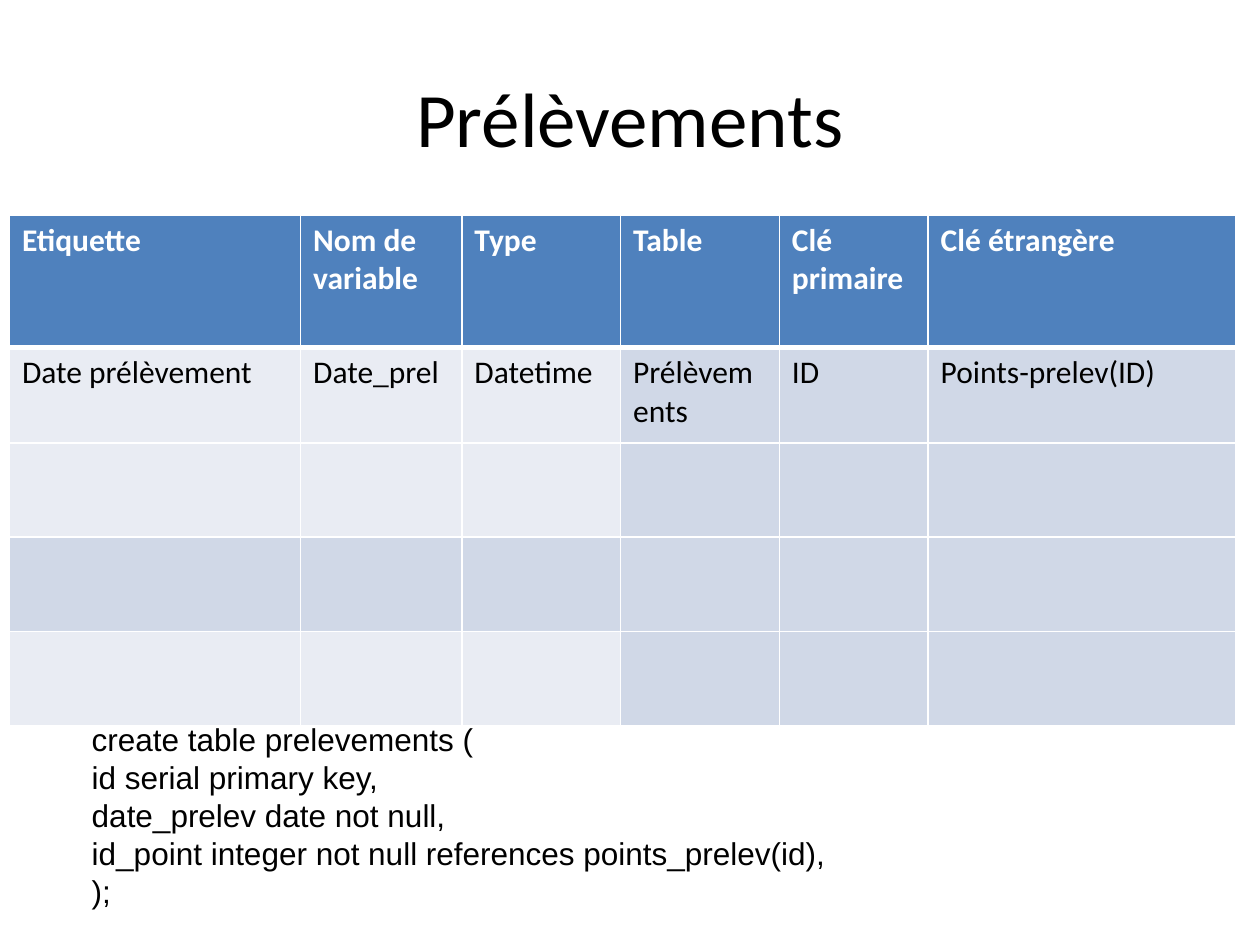
import dataclasses

import lxml.etree
import pptx
import pptx.dml.color
import pptx.enum.text
import pptx.oxml.ns
import pptx.util

Cm = pptx.util.Cm
Pt = pptx.util.Pt
Align = pptx.enum.text.PP_ALIGN
Anchor = pptx.enum.text.MSO_ANCHOR


@dataclasses.dataclass(frozen=True)
class Theme:
    ink: str = "000000"
    white: str = "FFFFFF"
    head: str = "4F81BD"
    light: str = "E9ECF3"
    dark: str = "D0D8E7"
    sans: str = "Calibri"
    code: str = "Arial"
    big: int = 44
    body: int = 18
    thin: float = 0.96
    thick: float = 3


THEME = Theme()

HEADS = ["Etiquette", "Nom de variable", "Type", "Table", "Clé\nprimaire", "Clé étrangère"]
FIELDS = ["Date prélèvement", "Date_prel", "Datetime", "Prélèvements", "ID", "Points-prelev(ID)"]
WIDTHS = [5.87, 3.25, 3.2, 3.2, 3, 6.2]
HEIGHTS = [2.67, 1.93, 1.9, 1.9, 1.9]
QUERY = """create table prelevements (
id serial primary key,
date_prelev date not null,
id_point integer not null references points_prelev(id),
);"""


def color(code):
    return pptx.dml.color.RGBColor.from_string(code)


def write(frame, text, font=THEME.sans, size=THEME.body, ink=THEME.ink,
          bold=False, align=Align.LEFT, anchor=Anchor.TOP):
    """Fill a text frame, one paragraph a line."""
    frame.word_wrap = True
    frame.vertical_anchor = anchor
    frame.text = text
    for para in frame.paragraphs:
        para.alignment = align
        para.font.name = font
        para.font.size = Pt(size)
        para.font.bold = bold
        para.font.color.rgb = color(ink)


def border(cell, **sides):
    """Draw white cell borders; sides maps L, R, T, B to a width."""
    props = cell._tc.get_or_add_tcPr()
    for side, width in sides.items():
        line = lxml.etree.SubElement(props, pptx.oxml.ns.qn(f"a:ln{side}"), w=str(Pt(width)))
        fill = lxml.etree.SubElement(line, pptx.oxml.ns.qn("a:solidFill"))
        lxml.etree.SubElement(fill, pptx.oxml.ns.qn("a:srgbClr"), val=THEME.white)


def shade(row, col):
    """Odd bands are dark throughout; the others only in the key columns."""
    if row == 0:
        return THEME.head
    return THEME.dark if row == 3 or col >= 3 else THEME.light


def title(slide, left, top, width, height):
    shape = slide.shapes.title
    shape.left, shape.top, shape.width, shape.height = map(Cm, (left, top, width, height))
    write(shape.text_frame, "Prélèvements", size=THEME.big,
          align=Align.CENTER, anchor=Anchor.MIDDLE)


def grid(slide, left, top):
    box = map(Cm, (left, top, sum(WIDTHS), sum(HEIGHTS)))
    table = slide.shapes.add_table(len(HEIGHTS), len(WIDTHS), *box).table
    for col, width in zip(table.columns, WIDTHS):
        col.width = Cm(width)
    for row, height in zip(table.rows, HEIGHTS):
        row.height = Cm(height)

    # Cells: heading, one field, then blank rows
    texts = [HEADS, FIELDS]
    for r in range(len(HEIGHTS)):
        for c in range(len(WIDTHS)):
            cell = table.cell(r, c)
            border(cell, L=THEME.thin, R=THEME.thin,
                   T=THEME.thick if r == 1 else THEME.thin,
                   B=THEME.thick if r == 0 else THEME.thin)
            cell.fill.solid()
            cell.fill.fore_color.rgb = color(shade(r, c))
            if r < len(texts):
                write(cell.text_frame, texts[r][c], bold=r == 0,
                      ink=THEME.white if r == 0 else THEME.ink)


def query(slide, left, top, width, height):
    box = slide.shapes.add_textbox(*map(Cm, (left, top, width, height)))
    write(box.text_frame, QUERY, font=THEME.code)


def main():
    deck = pptx.Presentation()
    deck.slide_width, deck.slide_height = Cm(25.4), Cm(19.05)
    slide = deck.slides.add_slide(deck.slide_layouts[5])
    title(slide, 1.27, 0.76, 22.86, 3.18)
    grid(slide, 0.19, 4.33)
    query(slide, 1.6, 14.4, 21.8, 4.6)
    deck.save("out.pptx")


if __name__ == "__main__":
    main()
